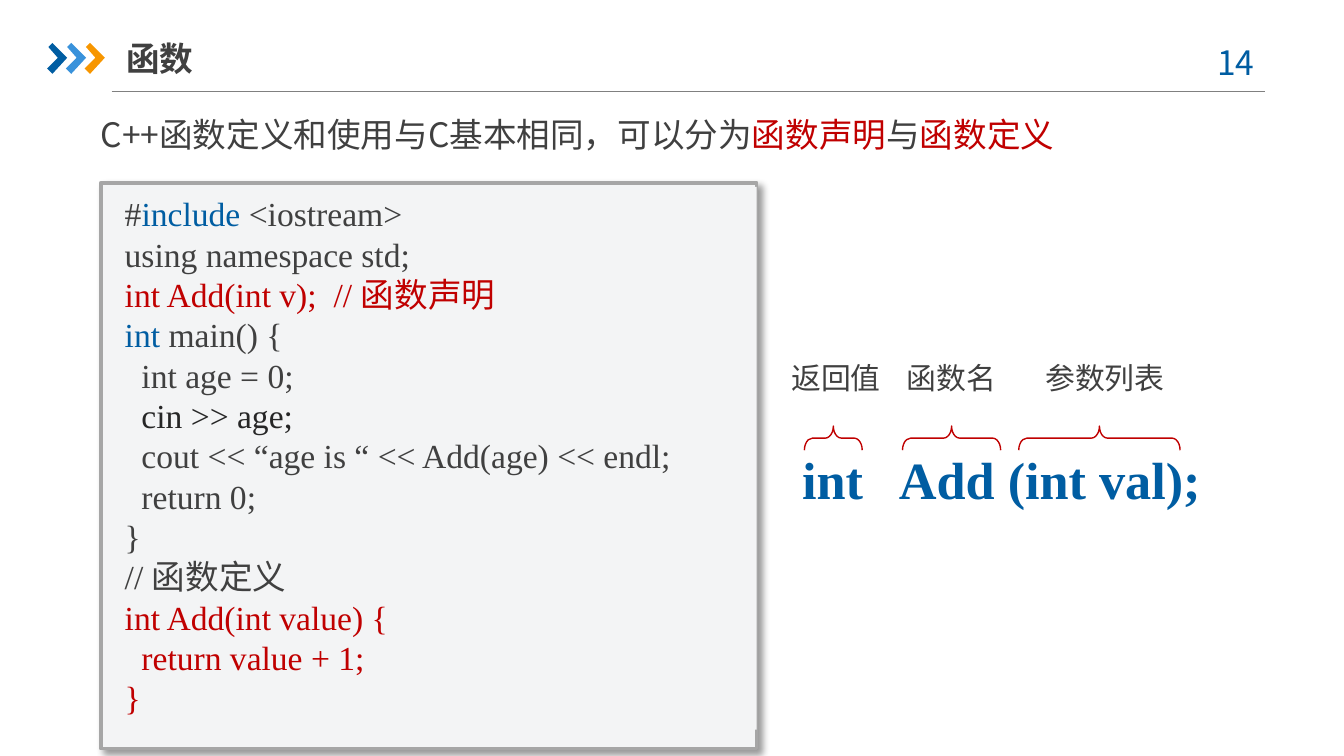
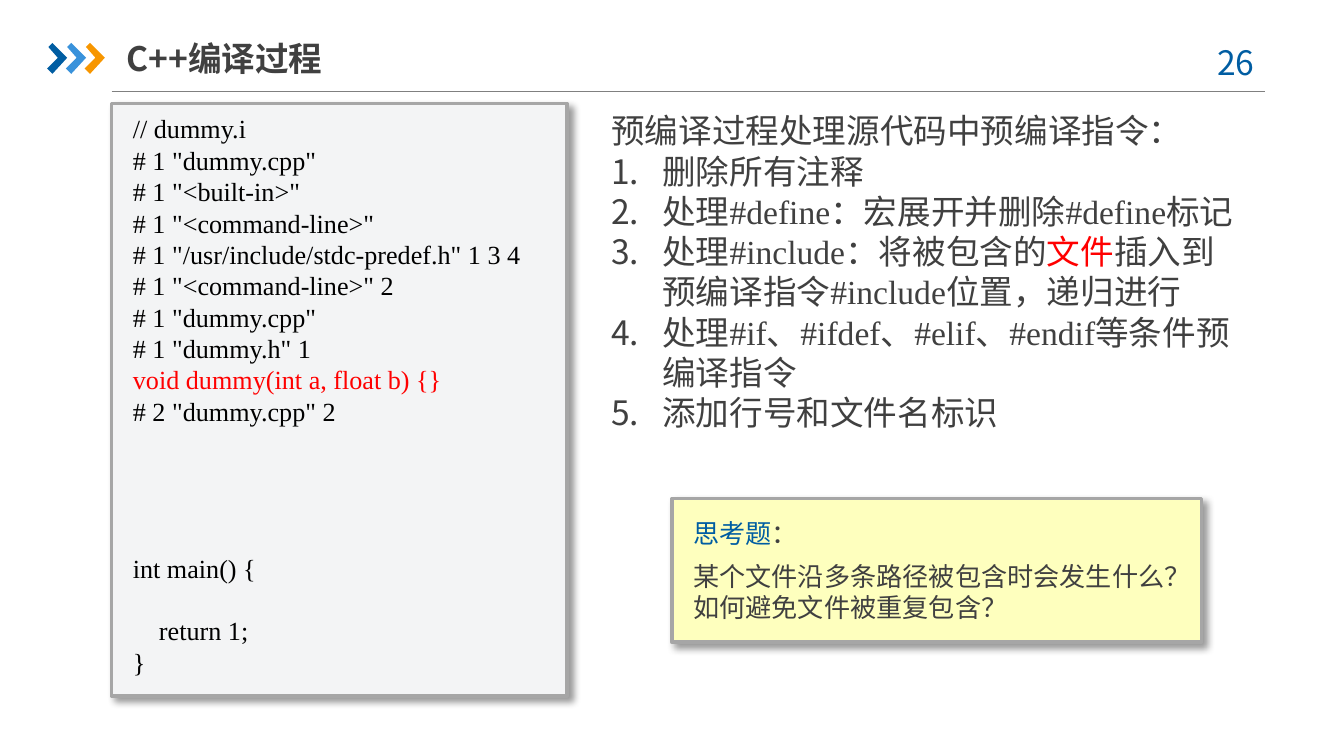
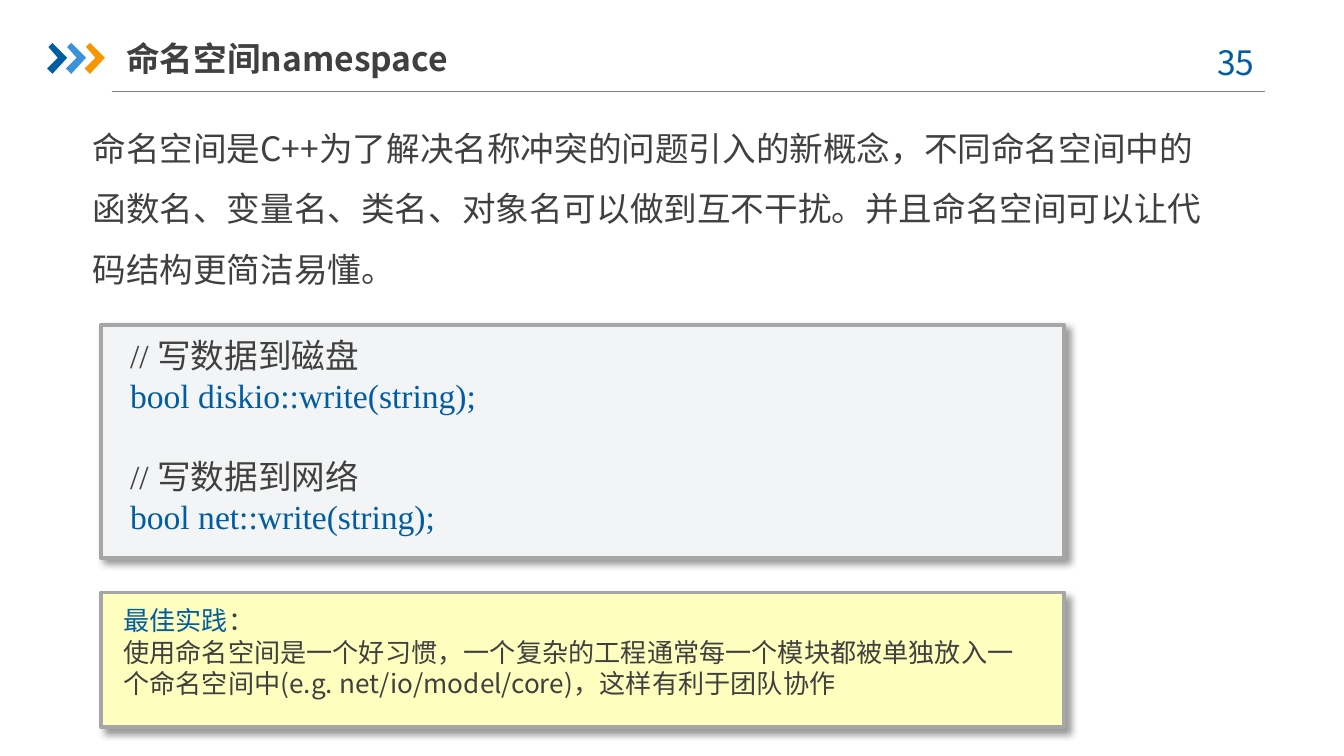
from dataclasses import dataclass

from lxml import etree
from pptx import Presentation
from pptx.dml.color import RGBColor
from pptx.enum.shapes import MSO_CONNECTOR, MSO_SHAPE
from pptx.enum.text import MSO_ANCHOR, MSO_AUTO_SIZE, PP_ALIGN
from pptx.oxml.ns import qn
from pptx.util import Inches, Pt

RECT, BRACE = MSO_SHAPE.RECTANGLE, MSO_SHAPE.LEFT_BRACE
STRAIGHT = MSO_CONNECTOR.STRAIGHT
TOP, MIDDLE = MSO_ANCHOR.TOP, MSO_ANCHOR.MIDDLE
GROW, FIXED = MSO_AUTO_SIZE.SHAPE_TO_FIT_TEXT, MSO_AUTO_SIZE.NONE
LEFT, CENTER = PP_ALIGN.LEFT, PP_ALIGN.CENTER


@dataclass(frozen=True)
class Theme:
    sans: str = "Noto Sans CJK SC"
    serif: str = "Times New Roman"
    text: str = "404040"
    dark: str = "262626"
    black: str = "000000"
    blue: str = "005DA2"
    sky: str = "3992DB"
    orange: str = "F79600"
    crimson: str = "C00000"
    red: str = "FF0000"
    rule: str = "808080"
    frame: str = "A6A6A6"
    code_fill: str = "F3F4F5"
    note_fill: str = "FEFFBE"
    body: int = 18
    label: int = 16
    small: int = 14
    signature: int = 28
    line_height: float = 1.2


T = Theme()

# A paragraph is a string or a list of runs; a run is a string or (string, colour).
# An empty string widens the gap before the next paragraph by one line.
FUNCTION_INTRO = [["C++函数定义和使用与C基本相同，可以分为", ("函数声明", T.crimson),
                   "与", ("函数定义", T.crimson)]]
FUNCTION_CODE = [
    ["#", ("include", T.blue), " <iostream>"],
    "using namespace std;",
    [("int Add(int v);  // 函数声明", T.crimson)],
    [("int", T.blue), " main() {"],
    "  int age = 0;",
    [("  cin >> age;", T.dark)],
    "  cout << “age is “ << Add(age) << endl;",
    "  return 0;",
    "}",
    "// 函数定义",
    [("int Add(int value) {", T.crimson)],
    [("  return value + 1;", T.crimson)],
    [("}", T.crimson)],
]
SIGNATURE = ["int\tAdd (int val);"]
# label, label left, label width, brace centre, brace span
SIGNATURE_PARTS = [
    ("返回值", 5.79, 0.93, 6.2, 0.43),
    ("函数名", 6.65, 0.93, 7.08, 0.73),
    ("参数列表", 7.68, 1.1, 8.18, 1.2),
]

PREPROCESSED_CODE = [
    "// dummy.i",
    '# 1 "dummy.cpp"',
    '# 1 "<built-in>"',
    '# 1 "<command-line>"',
    '# 1 "/usr/include/stdc-predef.h" 1 3 4',
    '# 1 "<command-line>" 2',
    '# 1 "dummy.cpp"',
    '# 1 "dummy.h" 1',
    [("void dummy(int a, float b) {}", T.red)],
    '# 2 "dummy.cpp" 2',
    "", "", "", "",
    "int main() {",
    "",
    "    return 1;",
    "}",
]
PREPROCESS_STEPS = [
    "预编译过程处理源代码中预编译指令：",
    "删除所有注释",
    "处理#define：宏展开并删除#define标记",
    ["处理#include：将被包含的", ("文件", T.red),
     "插入到预编译指令#include位置，递归进行"],
    "处理#if、#ifdef、#elif、#endif等条件预编译指令",
    "添加行号和文件名标识",
]
QUESTION = [
    [("思考题", T.blue), "："],
    "某个文件沿多条路径被包含时会发生什么？如何避免文件被重复包含？",
]

NAMESPACE_INTRO = [
    "命名空间是C++为了解决名称冲突的问题引入的新概念，不同命名空间中的函数名、变量名、"
    "类名、对象名可以做到互不干扰。并且命名空间可以让代码结构更简洁易懂。"
]
NAMESPACE_CODE = [
    "// 写数据到磁盘",
    [("bool diskio::write(string);", T.blue)],
    "",
    "// 写数据到网络",
    [("bool net::write(string);", T.blue)],
]
BEST_PRACTICE = [
    [("最佳实践", T.blue), "："],
    "使用命名空间是一个好习惯，一个复杂的工程通常每一个模块都被单独放入一个命名空间中"
    "(e.g. net/io/model/core)，这样有利于团队协作",
]

SLIDE_WIDTH = Inches(10)
SLIDE_HEIGHT = SLIDE_WIDTH * 9 // 16
CHEVRON_OUTLINE = [(0.01, 0.03), (0.04, 0), (0.15, 0.11), (0.04, 0.23),
                   (0, 0.19), (0.08, 0.11)]
CHEVRON_LEFT, CHEVRON_TOP, CHEVRON_STEP = 0.35, 0.32, 0.14
BRACE_MIDDLE, BRACE_DEPTH, LABEL_TOP = 3.26, 0.18, 2.63
LIST_INDENT = 0.38


def assign(target, values):
    for name, value in values.items():
        setattr(target, name, value)


def add_xml(parent, tag, **attributes):
    return etree.SubElement(parent, qn(tag), attributes)


def inches(*lengths):
    return [Inches(length) for length in lengths]


def paint(shape, fill=None, line=None, width=0.75):
    shape.shadow.inherit = False
    if fill:
        shape.fill.solid()
        shape.fill.fore_color.rgb = RGBColor.from_string(fill)
    else:
        shape.fill.background()
    if line:
        shape.line.color.rgb = RGBColor.from_string(line)
        shape.line.width = Pt(width)
    else:
        shape.line.fill.background()


def cast_shadow(shape):
    effects = shape._element.spPr.find(qn("a:effectLst"))
    shadow = add_xml(effects, "a:outerShdw", blurRad=str(Pt(4)), dist=str(Pt(3)),
                     dir=str(45 * 60000), algn="tl", rotWithShape="0")
    color = add_xml(shadow, "a:srgbClr", val=T.black)
    add_xml(color, "a:alpha", val="40000")


def number_item(paragraph):
    properties = paragraph._p.get_or_add_pPr()
    properties.set("marL", str(Inches(LIST_INDENT)))
    properties.set("indent", str(-Inches(LIST_INDENT)))
    add_xml(properties, "a:buFont", typeface=T.sans)
    add_xml(properties, "a:buAutoNum", type="arabicPeriod")


def set_tab(paragraph, position):
    tabs = add_xml(paragraph._p.get_or_add_pPr(), "a:tabLst")
    add_xml(tabs, "a:tab", pos=str(Inches(position)), algn="l")


def write(shape, paragraphs, size=T.body, font=T.sans, color=T.text, bold=False,
          align=LEFT, numbered_from=None, tab=None, frame=None, **spacing):
    """Fill a shape with text; frame and spacing override the text frame and paragraphs."""
    text_frame = shape.text_frame
    assign(text_frame, {"word_wrap": True, "auto_size": GROW,
                        "vertical_anchor": TOP, **(frame or {})})
    paragraph, blank_lines = text_frame.paragraphs[0], 0
    for index, runs in enumerate(paragraphs):
        if not runs:
            blank_lines += 1
            continue
        if index:
            paragraph = text_frame.add_paragraph()
        assign(paragraph, {"alignment": align, **spacing})
        if blank_lines:
            paragraph.space_before = Pt(round(blank_lines * size * T.line_height, 1))
            blank_lines = 0
        if numbered_from is not None and index >= numbered_from:
            number_item(paragraph)
        if tab:
            set_tab(paragraph, tab)
        for part in [runs] if isinstance(runs, str) else runs:
            text, run_color = (part, color) if isinstance(part, str) else part
            run = paragraph.add_run()
            run.text = text
            assign(run.font, {"size": Pt(size), "name": font, "bold": bold})
            run.font.color.rgb = RGBColor.from_string(run_color)
            add_xml(run._r.get_or_add_rPr(), "a:ea", typeface=T.sans)


def add_text(slide, box, paragraphs, **style):
    write(slide.shapes.add_textbox(*inches(*box)), paragraphs, **style)


def add_card(slide, outer, inner, fill, paragraphs, **style):
    """Add a framed, shadowed panel with a borderless text area on it."""
    shapes = slide.shapes.add_group_shape().shapes
    backing = shapes.add_shape(RECT, *inches(*outer))
    paint(backing, fill, T.frame, 2)
    cast_shadow(backing)
    text_area = shapes.add_shape(RECT, *inches(*inner))
    paint(text_area, fill)
    write(text_area, paragraphs, **style)


def add_page(deck, number, title, title_width=3.2):
    slide = deck.slides.add_slide(deck.slide_layouts[6])
    rule = slide.shapes.add_connector(STRAIGHT, *inches(0.83, 0.68, 9.41, 0.68))
    rule.line.color.rgb = RGBColor.from_string(T.rule)
    rule.line.width = Pt(0.75)
    add_xml(rule._element.spPr, "a:effectLst")

    chevrons = slide.shapes.add_group_shape().shapes
    for index, color in enumerate((T.blue, T.sky, T.orange)):
        left = CHEVRON_LEFT + index * CHEVRON_STEP
        points = [inches(left + x, CHEVRON_TOP + y) for x, y in CHEVRON_OUTLINE]
        outline = chevrons.build_freeform(*points[0])
        outline.add_line_segments(points[1:], close=True)
        paint(outline.convert_to_shape(), color)

    add_text(slide, (8.86, 0.26, 0.73, 0.4), [f"{number} "], color=T.blue, align=CENTER)
    add_text(slide, (0.94, 0.22, title_width, 0.42), [title], bold=True,
             frame={"auto_size": FIXED, "vertical_anchor": MIDDLE,
                    "margin_left": 0, "margin_right": 0})
    return slide


def build_functions(deck):
    slide = add_page(deck, 14, "函数")
    add_text(slide, (0.65, 0.8, 8.61, 0.4), FUNCTION_INTRO)
    add_card(slide, (0.75, 1.36, 4.88, 4.21), (0.83, 1.39, 4.8, 4.04),
             T.code_fill, FUNCTION_CODE, font=T.serif)
    add_text(slide, (5.87, 3.28, 3.78, 0.57), SIGNATURE, size=T.signature,
             font=T.serif, color=T.blue, bold=True, tab=0.72)
    for label, label_left, label_width, center, span in SIGNATURE_PARTS:
        brace = slide.shapes.add_shape(BRACE, *inches(
            center - BRACE_DEPTH / 2, BRACE_MIDDLE - span / 2, BRACE_DEPTH, span))
        brace.rotation = 90
        brace.adjustments[0] = 0.33
        paint(brace, line=T.crimson)
        add_text(slide, (label_left, LABEL_TOP, label_width, 0.37), [label], size=T.label)


def build_compilation(deck):
    slide = add_page(deck, 26, "C++编译过程", 2.33)
    add_card(slide, (0.83, 0.77, 3.39, 4.41), (0.89, 0.79, 3.25, 4.34),
             T.code_fill, PREPROCESSED_CODE, size=T.small, font=T.serif, color=T.black)
    add_text(slide, (4.45, 0.77, 4.88, 2.52), PREPROCESS_STEPS,
             font=T.serif, numbered_from=1)
    add_card(slide, (5, 3.71, 3.94, 1.07), (5.06, 3.8, 3.81, 0.89),
             T.note_fill, QUESTION, size=T.small, space_after=Pt(6))


def build_namespaces(deck):
    slide = add_page(deck, 35, "命名空间namespace")
    add_text(slide, (0.59, 0.75, 8.58, 1.41), NAMESPACE_INTRO, line_spacing=1.5)
    add_card(slide, (0.75, 2.42, 7.17, 1.73), (0.87, 2.44, 6.92, 1.62),
             T.code_fill, NAMESPACE_CODE, font=T.serif)
    add_card(slide, (0.75, 4.41, 7.17, 1), (0.82, 4.45, 6.94, 0.81),
             T.note_fill, BEST_PRACTICE, size=T.small)


def main():
    deck = Presentation()
    assign(deck, {"slide_width": SLIDE_WIDTH, "slide_height": SLIDE_HEIGHT})
    for build in (build_functions, build_compilation, build_namespaces):
        build(deck)
    deck.save("out.pptx")


if __name__ == "__main__":
    main()
